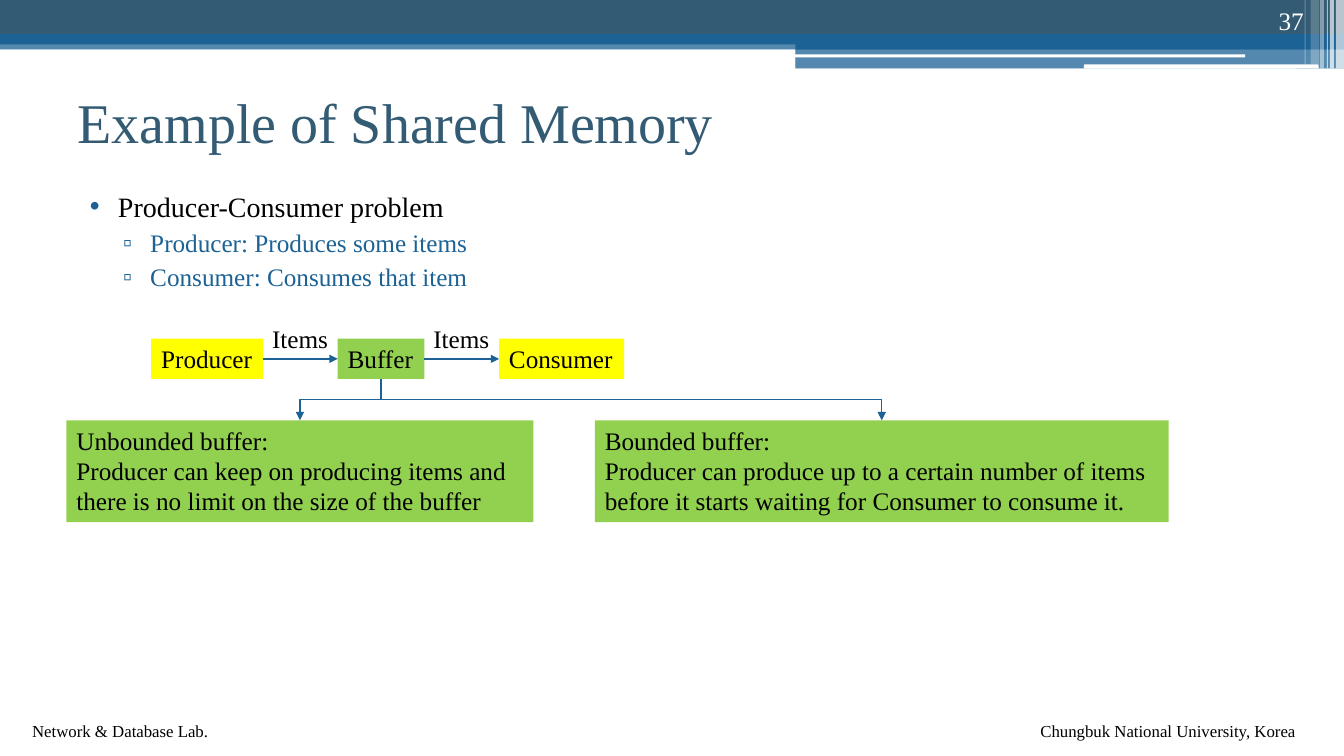
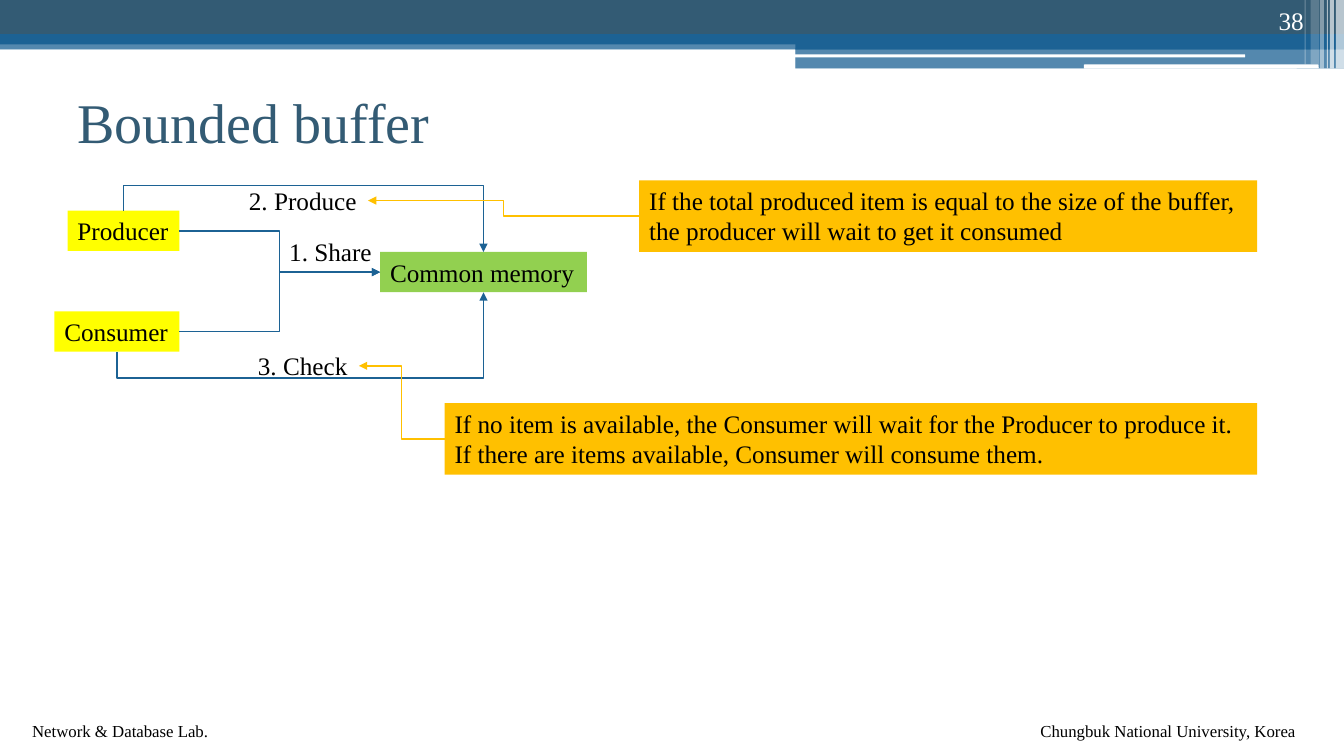
from lxml import etree
from pptx import Presentation
from pptx.dml.color import RGBColor
from pptx.enum.shapes import MSO_CONNECTOR, MSO_SHAPE
from pptx.enum.text import MSO_ANCHOR, MSO_AUTO_SIZE, PP_ALIGN
from pptx.oxml.ns import qn
from pptx.util import Inches, Pt

FONT = "Times New Roman"
NAVY = RGBColor(0x33, 0x5B, 0x74)
BLUE = RGBColor(0x1C, 0x62, 0x94)
WHITE = RGBColor(0xFF, 0xFF, 0xFF)
BLACK = RGBColor(0x00, 0x00, 0x00)
YELLOW = RGBColor(0xFF, 0xFF, 0x00)
GREEN = RGBColor(0x92, 0xD0, 0x50)
ORANGE = RGBColor(0xFF, 0xC0, 0x00)

SLIDE_WIDTH, SLIDE_HEIGHT = 13.33, 7.5
TITLE_AND_CONTENT, TITLE_ONLY = 1, 5
LINE_HEIGHT = 0.4

# Banner parts: left, top, width, height, colour, opacity in percent
FULL_VEIL = (0, 0.4, SLIDE_WIDTH, 0.09, BLUE, 50)
SIDE_VEIL = (7.89, 0.48, 5.44, 0.2, BLUE, 50)
STRIPES = [
    (left, 0, width, height, WHITE, opacity)
    for left, width, height, opacity in [
        (13.25, 0.08, 0.68, 65), (13.19, 0.04, 0.68, 65), (13.16, 0.01, 0.68, 60),
        (13.09, 0.04, 0.68, 40), (13, 0.08, 0.64, 20), (12.94, 0.01, 0.64, 30),
    ]
]
SOLID_BANDS = [
    (0, 0, SLIDE_WIDTH, 0.34, NAVY, 100),
    (0, 0.34, SLIDE_WIDTH, 0.1, BLUE, 100),
    (7.89, 0.39, 5.44, 0.1, BLUE, 100),
]
WHITE_RULES = [
    (7.88, 0.54, 4.47, 0.03, WHITE, 100),
    (10.75, 0.64, 2.33, 0.04, WHITE, 100),
]
BANNER = [FULL_VEIL, SIDE_VEIL, *STRIPES,
          FULL_VEIL, *SOLID_BANDS, SIDE_VEIL, *WHITE_RULES, *STRIPES]
FOOTERS = [
    (0.22, 2.11, "Network & Database Lab."),
    (10.22, 2.94, "Chungbuk National University, Korea"),
]

# Bullet levels: left margin, hanging indent, mark, size, colour
LEVELS = [(0.4, -0.28, "•", 20, BLACK), (0.72, -0.27, "▫", 18, BLUE)]

# Boxes: name -> left, top, width, height, fill, lines
# Arrows: start box, side, end box, side, colour, height of the bend (None = halfway)
SLIDES = [
    {
        "number": "37",
        "title": "Example of Shared Memory",
        "bullets": [
            (0, "Producer-Consumer problem"),
            (1, "Producer: Produces some items"),
            (1, "Consumer: Consumes that item"),
        ],
        "boxes": {
            "producer": (1.5, 3.36, 1.11, LINE_HEIGHT, YELLOW, ["Producer"]),
            "buffer": (3.35, 3.36, 0.86, LINE_HEIGHT, GREEN, ["Buffer"]),
            "consumer": (4.95, 3.36, 1.24, LINE_HEIGHT, YELLOW, ["Consumer"]),
            "items in": (2.6, 3.16, 0.76, LINE_HEIGHT, None, ["Items"]),
            "items out": (4.2, 3.16, 0.76, LINE_HEIGHT, None, ["Items"]),
            "unbounded": (0.66, 4.17, 4.63, 1.01, GREEN, [
                "Unbounded buffer:",
                "Producer can keep on producing items and",
                "there is no limit on the size of the buffer"]),
            "bounded": (5.9, 4.17, 5.69, 1.01, GREEN, [
                "Bounded buffer:",
                "Producer can produce up to a certain number of items",
                "before it starts waiting for Consumer to consume it."]),
        },
        "arrows": [
            ("producer", "right", "buffer", "left", BLUE, None),
            ("buffer", "right", "consumer", "left", BLUE, None),
            ("buffer", "bottom", "unbounded", "top", BLUE, None),
            ("buffer", "bottom", "bounded", "top", BLUE, None),
        ],
    },
    {
        "number": "38",
        "title": "Bounded buffer",
        "bullets": [],
        "boxes": {
            "producer": (0.67, 2.09, 1.11, LINE_HEIGHT, YELLOW, ["Producer"]),
            "consumer": (0.54, 3.09, 1.24, LINE_HEIGHT, YELLOW, ["Consumer"]),
            "memory": (3.77, 2.5, 2.05, LINE_HEIGHT, GREEN, ["Common memory"]),
            "share": (2.77, 2.3, 1.03, LINE_HEIGHT, None, ["1. Share"]),
            "produce": (2.37, 1.79, 1.28, LINE_HEIGHT, None, ["2. Produce"]),
            "check": (2.46, 3.43, 1.1, LINE_HEIGHT, None, ["3. Check"]),
            "full": (6.34, 1.79, 6.13, 0.71, ORANGE, [
                "If the total produced item is equal to the size of the buffer,",
                "the producer will wait to get it consumed"]),
            "empty": (4.41, 4, 8.06, 0.71, ORANGE, [
                "If no item is available, the Consumer will wait for the Producer to produce it.",
                "If there are items available, Consumer will consume them."]),
        },
        "arrows": [
            ("producer", "right", "memory", "left", BLUE, None),
            ("consumer", "right", "memory", "left", BLUE, None),
            ("producer", "top", "memory", "top", BLUE, 1.84),
            ("full", "left", "produce", "right", ORANGE, None),
            ("consumer", "bottom", "memory", "bottom", BLUE, 3.75),
            ("empty", "left", "check", "right", ORANGE, None),
        ],
    },
]

# Connection site number, and its place as shares of width and height
SIDES = {"top": (0, 0.5, 0), "left": (1, 0, 0.5),
         "bottom": (2, 0.5, 1), "right": (3, 1, 0.5)}


def place(shape, left, top, width, height):
    shape.left, shape.top = Inches(left), Inches(top)
    shape.width, shape.height = Inches(width), Inches(height)


def format_paragraph(paragraph, size, color, alignment=PP_ALIGN.LEFT):
    paragraph.alignment = alignment
    for run in paragraph.runs:
        run.font.name = FONT
        run.font.size = Pt(size)
        run.font.color.rgb = color


def add_band(slide, left, top, width, height, color, opacity):
    is_rule = color == WHITE and opacity == 100
    kind = MSO_SHAPE.ROUNDED_RECTANGLE if is_rule else MSO_SHAPE.RECTANGLE
    band = slide.shapes.add_shape(
        kind, Inches(left), Inches(top), Inches(width), Inches(height))
    band.shadow.inherit = False
    band.fill.solid()
    band.fill.fore_color.rgb = color
    band.line.fill.background()
    if opacity < 100:
        color_element = band.element.spPr.find(".//" + qn("a:srgbClr"))
        etree.SubElement(color_element, qn("a:alpha")).set("val", str(opacity * 1000))
    return band


def add_box(slide, left, top, width, height, fill, lines, size=18):
    box = slide.shapes.add_textbox(
        Inches(left), Inches(top), Inches(width), Inches(height))
    box.text_frame.text = "\n".join(lines)
    box.text_frame.word_wrap = False
    box.text_frame.auto_size = MSO_AUTO_SIZE.SHAPE_TO_FIT_TEXT
    if fill is not None:
        box.fill.solid()
        box.fill.fore_color.rgb = fill
    for paragraph in box.text_frame.paragraphs:
        format_paragraph(paragraph, size, BLACK)
    return box


def build_master(presentation, slide):
    """Draw the banner and footers, then move them to the slide master."""
    parts = [add_band(slide, *band) for band in BANNER]
    parts += [add_box(slide, left, 7.1, width, 0.3, None, [text], 12)
              for left, width, text in FOOTERS]
    for shape_id, part in enumerate(parts, 100):
        part.element.nvSpPr.cNvPr.set("id", str(shape_id))
        presentation.slide_master.shapes.element.append(part.element)


def site_position(shape, side):
    _, across, down = SIDES[side]
    return (shape.left + int(shape.width * across),
            shape.top + int(shape.height * down))


def turn_upright(connector, start, end, bend):
    """Make an elbow leave its start vertically, with its bar at height bend."""
    (start_x, start_y), (end_x, end_y) = start, end
    run, rise = end_x - start_x, end_y - start_y
    width, height = abs(rise), abs(run)
    connector.left = (start_x + end_x - width) // 2
    connector.top = (start_y + end_y - height) // 2
    connector.width, connector.height = width, height
    frame = connector.element.spPr.find(qn("a:xfrm"))
    quarter_turns = 1 if (run > 0) == (rise < 0) else 3
    frame.set("rot", str(quarter_turns * 90 * 60000))
    frame.set("flipH", str(int(run > 0)))
    frame.set("flipV", str(int(rise < 0)))
    if bend is not None:
        share = (Inches(bend) - start_y) / rise
        guides = connector.element.spPr.find(".//" + qn("a:avLst"))
        guide = etree.SubElement(guides, qn("a:gd"))
        guide.set("name", "adj1")
        guide.set("fmla", f"val {round(share * 100000)}")


def add_arrow(slide, start_box, start_side, end_box, end_side, color, bend):
    start = site_position(start_box, start_side)
    end = site_position(end_box, end_side)
    kind = MSO_CONNECTOR.STRAIGHT if start[1] == end[1] else MSO_CONNECTOR.ELBOW
    connector = slide.shapes.add_connector(kind, *start, *end)
    connector.begin_connect(start_box, SIDES[start_side][0])
    connector.end_connect(end_box, SIDES[end_side][0])
    if start_side in ("top", "bottom"):
        turn_upright(connector, start, end, bend)
    connector.line.color.rgb = color
    connector.line.width = Pt(1)
    line = connector.element.spPr.find(qn("a:ln"))
    etree.SubElement(line, qn("a:tailEnd")).set("type", "triangle")
    etree.SubElement(connector.element.spPr, qn("a:effectLst"))


def fill_bullets(body, bullets):
    place(body, 0.67, 1.83, 12, 5.36)
    body.text_frame.text = "\n".join(text for _, text in bullets)
    body.text_frame.auto_size = MSO_AUTO_SIZE.NONE
    for paragraph, (level, _) in zip(body.text_frame.paragraphs, bullets):
        margin, indent, mark, size, color = LEVELS[level]
        paragraph.level = level
        paragraph.space_before = Pt(3)
        format_paragraph(paragraph, size, color)
        properties = paragraph.runs[0].font and paragraph._p.get_or_add_pPr()
        properties.set("marL", str(Inches(margin)))
        properties.set("indent", str(Inches(indent)))
        bullet_color = etree.SubElement(properties, qn("a:buClr"))
        etree.SubElement(bullet_color, qn("a:srgbClr")).set("val", str(BLUE))
        etree.SubElement(properties, qn("a:buChar")).set("char", mark)


def add_heading(slide, title_text, number):
    title = slide.shapes.title
    place(title, 0.67, 0.62, 12, 1.17)
    title.text_frame.text = title_text
    title.text_frame.vertical_anchor = MSO_ANCHOR.MIDDLE
    format_paragraph(title.text_frame.paragraphs[0], 40, NAVY)
    page = slide.shapes.add_textbox(
        Inches(11.92), Inches(0), Inches(1.11), Inches(0.4))
    page.text_frame.text = number
    page.text_frame.word_wrap = True
    page.text_frame.vertical_anchor = MSO_ANCHOR.BOTTOM
    format_paragraph(page.text_frame.paragraphs[0], 18, WHITE, PP_ALIGN.RIGHT)


def main():
    presentation = Presentation()
    presentation.slide_width = Inches(SLIDE_WIDTH)
    presentation.slide_height = Inches(SLIDE_HEIGHT)
    for index, content in enumerate(SLIDES):
        layout = TITLE_AND_CONTENT if content["bullets"] else TITLE_ONLY
        slide = presentation.slides.add_slide(presentation.slide_layouts[layout])
        if index == 0:
            build_master(presentation, slide)
        add_heading(slide, content["title"], content["number"])
        if content["bullets"]:
            fill_bullets(slide.placeholders[1], content["bullets"])
        boxes = {name: add_box(slide, *box) for name, box in content["boxes"].items()}
        for start, start_side, end, end_side, color, bend in content["arrows"]:
            add_arrow(slide, boxes[start], start_side, boxes[end], end_side, color, bend)
    presentation.save("out.pptx")


if __name__ == "__main__":
    main()
